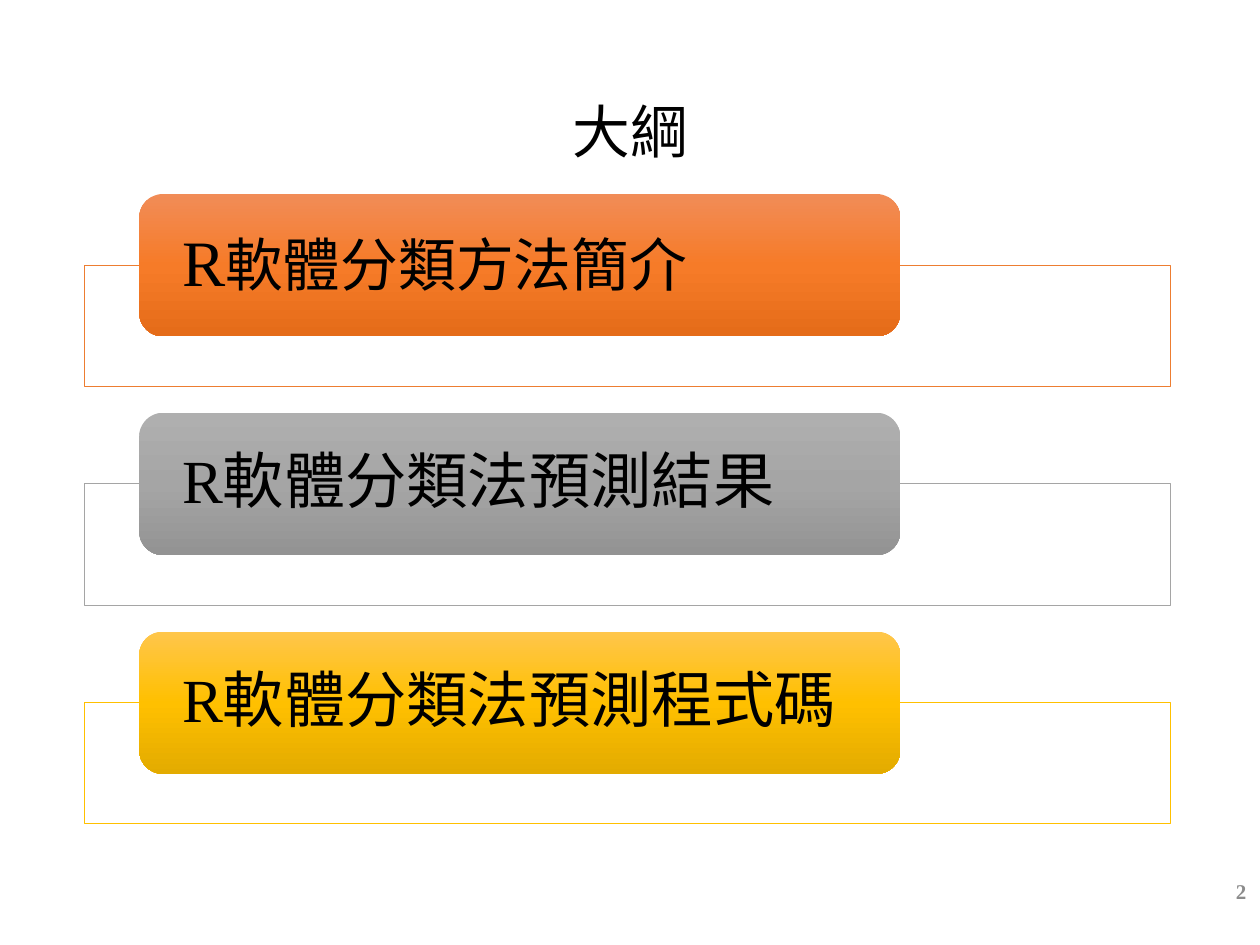
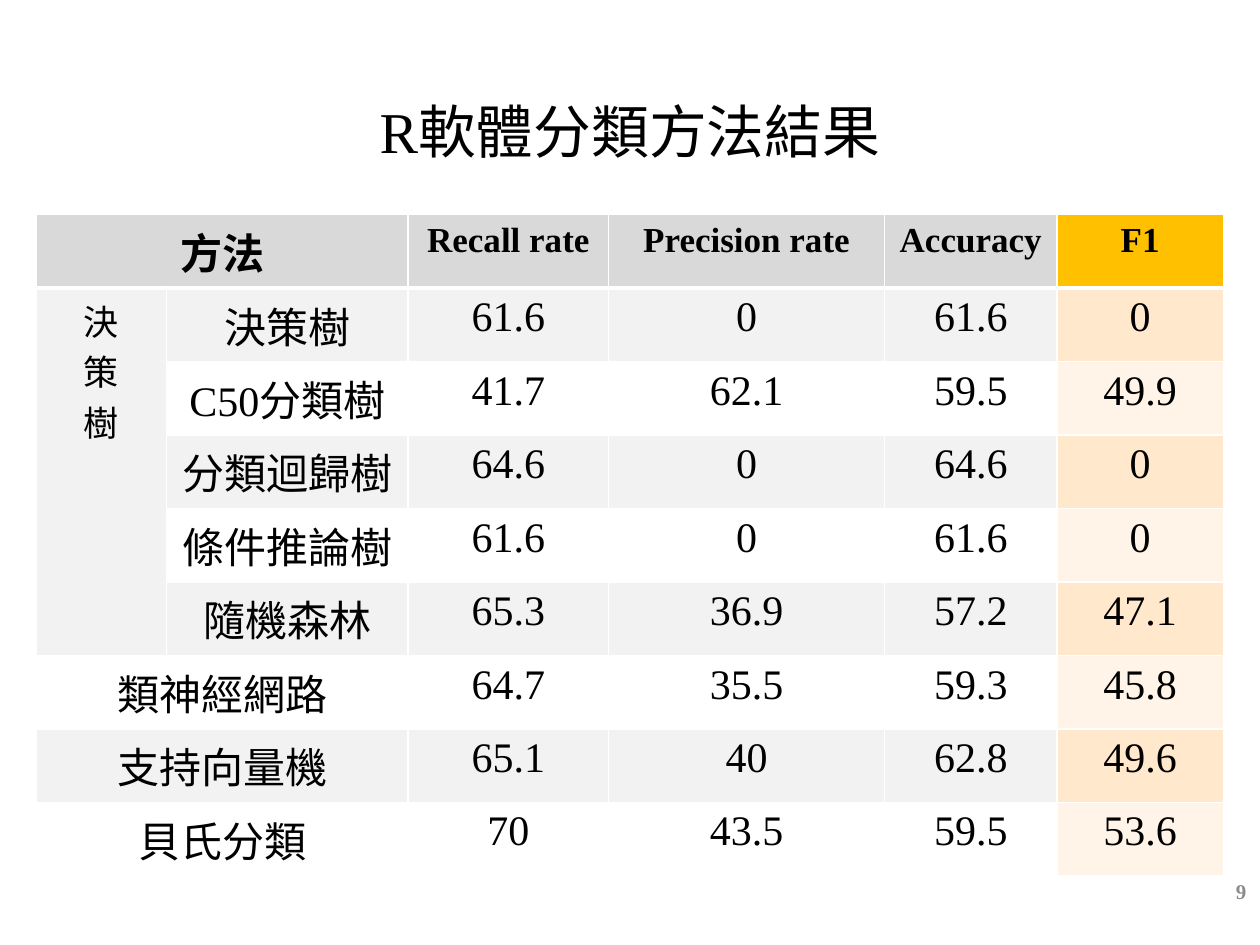
"""Builds an outline slide and a classification results slide."""
from copy import deepcopy
from dataclasses import dataclass

from lxml import etree
from pptx import Presentation, util as u
from pptx.dml.color import RGBColor
from pptx.enum import shapes, text
from pptx.oxml.ns import qn


@dataclass(frozen=True)
class Theme:
    """Colours and type sizes shared by the slides."""
    font: str = "Times New Roman"
    ink: str = "000000"
    paper: str = "FFFFFF"
    muted: str = "8C8C8C"
    header: str = "D9D9D9"
    accent: str = "FFC000"
    bands: tuple = ("F2F2F2", "FFFFFF")
    accent_bands: tuple = ("FFE8CC", "FFF4E7")
    title_size: int = 33
    number_size: int = 12
    body_size: int = 24
    label_size: int = 20


T = Theme()
CENTER, LEFT, RIGHT = text.PP_ALIGN.CENTER, text.PP_ALIGN.LEFT, text.PP_ALIGN.RIGHT

TOPICS = [
    ([("R", 37), ("軟體分類方法簡介", 33)], "ED7D31", ("F18C57", "F67B28", "E56C19")),
    ([("R軟體分類法預測結果", 35)], "A5A5A5", ("AFAFAF", "A5A5A5", "939393")),
    ([("R軟體分類法預測程式碼", 35)], "FFC000", ("FFC64B", "FFC000", "E3AB00")),
]
COLUMN_WIDTHS = (74.2, 138.2, 114.5, 157.7, 98.6, 95)
HEADER = ("方法", "", "Recall rate", "Precision rate", "Accuracy", "F1")
RESULTS = [
    ("決\n策\n樹", "決策樹", "61.6", "0", "61.6", "0"),
    ("", "C50分類樹", "41.7", "62.1", "59.5", "49.9"),
    ("", "分類迴歸樹", "64.6", "0", "64.6", "0"),
    ("", "條件推論樹", "61.6", "0", "61.6", "0"),
    ("", "隨機森林", "65.3", "36.9", "57.2", "47.1"),
    ("類神經網路", "", "64.7", "35.5", "59.3", "45.8"),
    ("支持向量機", "", "65.1", "40", "62.8", "49.6"),
    ("貝氏分類", "", "70", "43.5", "59.5", "53.6"),
]
TREE_ROWS = 5


def rgb(color):
    """Return a colour object for a hex string."""
    return RGBColor.from_string(color)


def style(p, size, color=T.ink, bold=False, align=CENTER):
    """Set the font and alignment of a paragraph."""
    p.alignment = align
    p.font.name, p.font.size, p.font.bold = T.font, u.Pt(size), bold
    p.font.color.rgb = rgb(color)


def add_text(s, box, content, size, color=T.ink, bold=False, align=CENTER):
    """Add a one-paragraph text box, centred vertically, and return its paragraph."""
    tf = s.shapes.add_textbox(*map(u.Pt, box)).text_frame
    tf.word_wrap, tf.vertical_anchor = True, text.MSO_ANCHOR.MIDDLE
    p = tf.paragraphs[0]
    p.text = content
    style(p, size, color, bold, align)
    return p


def add_slide(prs, title, number):
    """Add a blank slide with its title and page number."""
    s = prs.slides.add_slide(prs.slide_layouts[6])
    add_text(s, (49.7, 46.1, 620.6, 61.9), title, T.title_size).line_spacing = 0.9
    add_text(s, (557.3, 494.6, 162, 28.8), str(number), T.number_size,
             T.muted, True, RIGHT)
    return s


def add_block(s, kind, box):
    """Add a preset shape without shadow."""
    sp = s.shapes.add_shape(kind, *map(u.Pt, box))
    sp.shadow.inherit = False
    return sp


def fill_gradient(sp, colors):
    """Fill a shape from top to bottom with evenly spaced colours."""
    sp.fill.gradient()
    sp.fill.gradient_angle = 270
    stops = next(sp.fill._xPr.iter(qn("a:gsLst")))
    while len(stops) < len(colors):
        stops.append(deepcopy(stops[-1]))
    for i, (stop, color) in enumerate(zip(sp.fill.gradient_stops, colors)):
        stop.position = i / (len(colors) - 1)
        stop.color.rgb = rgb(color)


def add_topic(s, top, runs, line, gradient):
    """Add an outlined panel with a rounded topic label over it."""
    panel = add_block(s, shapes.MSO_SHAPE.RECTANGLE, (48.2, top + 40.5, 620.6, 69.3))
    panel.fill.solid()
    panel.fill.fore_color.rgb = rgb(T.paper)
    panel.line.color.rgb, panel.line.width = rgb(line), u.Pt(0.5)

    label = add_block(s, shapes.MSO_SHAPE.ROUNDED_RECTANGLE, (79.6, top, 434.9, 81.3))
    fill_gradient(label, gradient)
    label.line.fill.background()
    tf = label.text_frame
    tf.word_wrap, tf.vertical_anchor = True, text.MSO_ANCHOR.MIDDLE
    tf.margin_left = tf.margin_right = u.Pt(20.5)
    tf.margin_top = tf.margin_bottom = 0
    p = tf.paragraphs[0]
    p.line_spacing = 0.9
    style(p, runs[0][1], align=LEFT)
    for content, size in runs:
        r = p.add_run()
        r.text, r.font.size = content, u.Pt(size)


def set_borders(cell, **widths):
    """Draw white cell borders; widths are given per side in points."""
    tc_pr = cell._tc.get_or_add_tcPr()
    for side in "LRTB":
        ln = etree.SubElement(tc_pr, qn(f"a:ln{side}"), w=str(u.Pt(widths.get(side, 1))))
        fill = etree.SubElement(ln, qn("a:solidFill"))
        etree.SubElement(fill, qn("a:srgbClr"), val=T.paper)


def fill_cell(cell, content, size, fill, bold=False):
    """Write centred text in a cell and colour it."""
    cell.fill.solid()
    cell.fill.fore_color.rgb = rgb(fill)
    cell.text = content
    for p in cell.text_frame.paragraphs:
        style(p, size, bold=bold)


def add_results(s):
    """Add the results table with its merged method cells."""
    rows, cols = len(RESULTS) + 1, len(HEADER)
    table = s.shapes.add_table(rows, cols, u.Pt(20.9), u.Pt(122.6),
                               u.Pt(sum(COLUMN_WIDTHS)), u.Pt(42 * rows)).table
    for column, width in zip(table.columns, COLUMN_WIDTHS):
        column.width = u.Pt(width)
    for i, values in enumerate([HEADER] + RESULTS):
        table.rows[i].height = u.Pt(42)
        for j, value in enumerate(values):
            cell, last = table.cell(i, j), j == cols - 1
            set_borders(cell, B=3 if i == 0 else 1, T=3 if i == 1 else 1)
            if i == 0:
                size, fill = T.label_size if j else T.body_size, T.accent if last else T.header
            else:
                tree = j == 0 and i <= TREE_ROWS
                size = T.label_size if tree else T.body_size
                fill = (T.accent_bands if last else T.bands)[0 if tree else (i - 1) % 2]
            fill_cell(cell, value, size, fill, bold=i == 0)
    table.cell(1, 0).merge(table.cell(TREE_ROWS, 0))
    for i in (0, *range(TREE_ROWS + 1, rows)):
        table.cell(i, 0).merge(table.cell(i, 1))


def main():
    """Build and save the presentation."""
    prs = Presentation()
    prs.slide_width, prs.slide_height = u.Pt(720), u.Pt(540)
    s = add_slide(prs, "大綱", 2)
    for i, topic in enumerate(TOPICS):
        add_topic(s, 110.9 + 125 * i, *topic)
    add_results(add_slide(prs, "R軟體分類方法結果", 9))
    prs.save("out.pptx")


if __name__ == "__main__":
    main()
